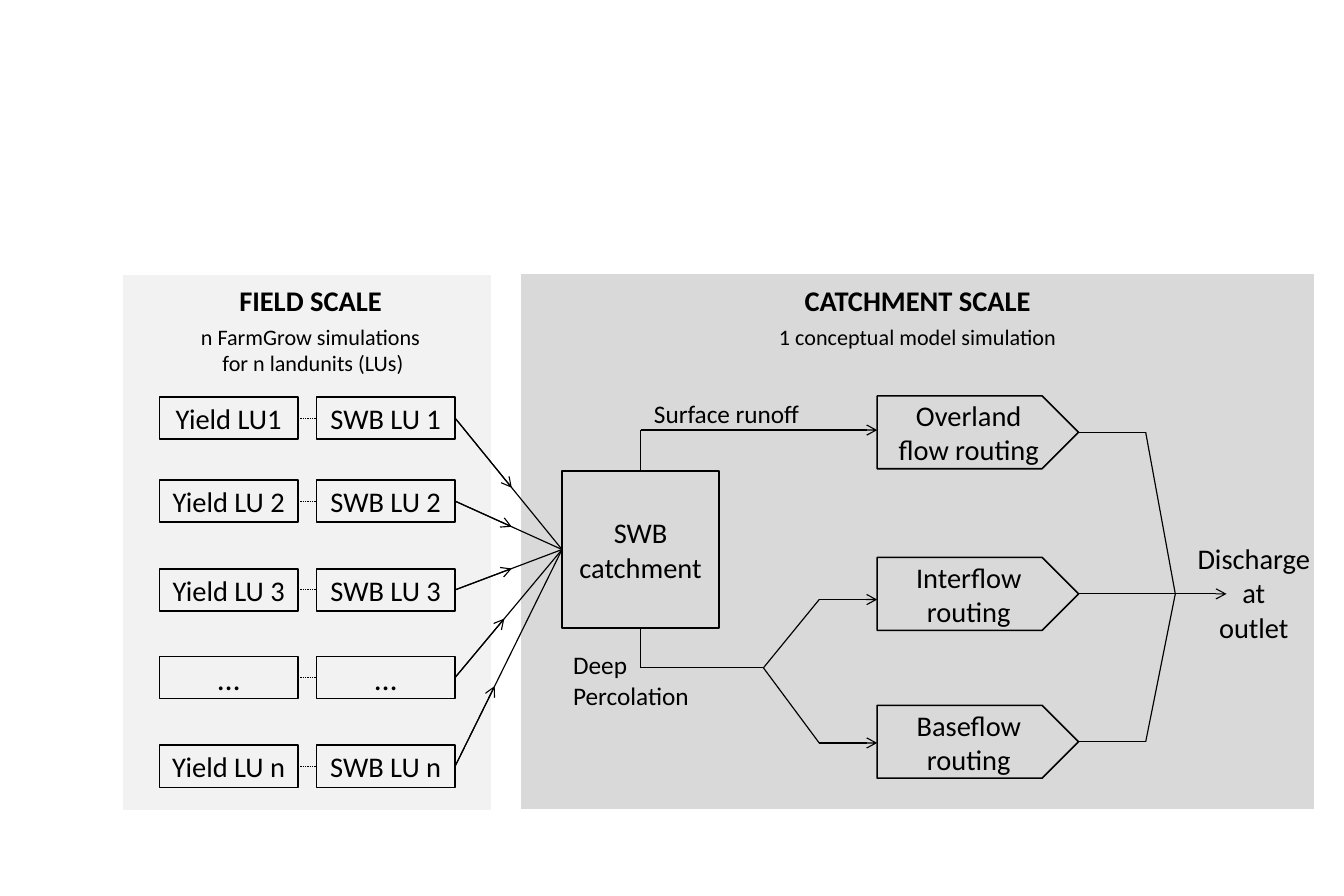
import dataclasses
import itertools
import typing

import lxml.etree
import pptx
import pptx.dml.color
import pptx.enum.dml
import pptx.enum.shapes
import pptx.enum.text
import pptx.oxml.ns
import pptx.shapes.autoshape
import pptx.slide
import pptx.text.text
import pptx.util

# Places are columns and rows of a square grid.
CELL = pptx.util.Inches(0.1)
WIDE, HIGH = pptx.util.Pt(850.5), pptx.util.Pt(567)
FONT = "Calibri"
HUES = {"ink": "000000", "field": "F2F2F2", "catch": "D9D9D9"}

FORM = pptx.enum.shapes.MSO_SHAPE
ALIGN = pptx.enum.text.PP_ALIGN
ANCHOR = pptx.enum.text.MSO_ANCHOR


class Point(typing.NamedTuple):
    """A place on the grid."""
    col: float
    row: float


@dataclasses.dataclass
class Box:
    """A shape on the grid, with its text lines."""
    col: float
    row: float
    wide: float
    high: float
    lines: tuple[str, ...] = ()
    size: int = 18
    form: FORM = FORM.FLOWCHART_PROCESS
    fill: str = ""

    @property
    def mid(self) -> float:
        """Return the row of the box's centre."""
        return self.row + self.high / 2

    @property
    def right(self) -> float:
        """Return the column of the right edge."""
        return self.col + self.wide


@dataclasses.dataclass
class Label:
    """A free text on the grid."""
    col: float
    row: float
    wide: float
    high: float
    lines: tuple[str, ...]
    size: int
    bold: bool = False
    align: ALIGN = ALIGN.CENTER


@dataclasses.dataclass
class Route:
    """A chain of straight lines, with an arrow at its end if wanted."""
    points: list[Point]
    arrow: bool = False
    dots: bool = False


def span(cells: float) -> pptx.util.Emu:
    """Turn grid cells into a length."""
    return pptx.util.Emu(round(cells * CELL))


def hue(name: str) -> pptx.dml.color.RGBColor:
    """Look up a colour."""
    return pptx.dml.color.RGBColor.from_string(HUES[name])


def frame(item: Box | Label) -> tuple[pptx.util.Emu, ...]:
    """Return left, top, width and height."""
    return tuple(map(span, (item.col, item.row, item.wide, item.high)))


def write(text: pptx.text.text.TextFrame, lines: tuple[str, ...], size: int,
          bold: bool = False, align: ALIGN = ALIGN.CENTER) -> None:
    """Write one paragraph for each line."""
    text.word_wrap = True
    for count, line in enumerate(lines):
        para = text.add_paragraph() if count else text.paragraphs[0]
        para.alignment = align
        run = para.add_run()
        run.text = line
        run.font.name = FONT
        run.font.size = pptx.util.Pt(size)
        run.font.bold = bold
        run.font.color.rgb = hue("ink")


def draw_box(slide: pptx.slide.Slide, box: Box) -> None:
    """Draw a filled panel or an outlined box."""
    shape = slide.shapes.add_shape(box.form, *frame(box))
    shape.shadow.inherit = False
    if box.fill:
        shape.fill.solid()
        shape.fill.fore_color.rgb = hue(box.fill)
        shape.line.fill.background()
    else:
        shape.fill.background()
        shape.line.color.rgb = hue("ink")
        shape.line.width = pptx.util.Pt(1)
    shape.text_frame.vertical_anchor = ANCHOR.MIDDLE
    write(shape.text_frame, box.lines, box.size)


def draw_label(slide: pptx.slide.Slide, label: Label) -> None:
    """Draw a text without outline."""
    shape = slide.shapes.add_textbox(*frame(label))
    write(shape.text_frame, label.lines, label.size, label.bold, label.align)


def draw_route(slide: pptx.slide.Slide, route: Route) -> None:
    """Draw each leg of a route."""
    for start, end in itertools.pairwise(route.points):
        leg = slide.shapes.add_connector(
            pptx.enum.shapes.MSO_CONNECTOR.STRAIGHT,
            *map(span, (*start, *end)))
        leg.line.color.rgb = hue("ink")
        leg.line.width = pptx.util.Pt(0.75)
        if route.dots:
            leg.line.dash_style = pptx.enum.dml.MSO_LINE.ROUND_DOT
        props = leg.element.spPr
        if route.arrow and end == route.points[-1]:
            lxml.etree.SubElement(props.find(pptx.oxml.ns.qn("a:ln")),
                                  pptx.oxml.ns.qn("a:tailEnd"), type="arrow")
        lxml.etree.SubElement(props, pptx.oxml.ns.qn("a:effectLst"))


def part(start: Point, end: Point, share: float) -> Point:
    """Return the point at a share of the way."""
    return Point(start.col + share * (end.col - start.col),
                 start.row + share * (end.row - start.row))


panels = [Box(45.8, 24.1, 69.7, 47, fill="catch"),
          Box(10.8, 24.2, 32.4, 47, fill="field")]
swb = Box(49.4, 41.4, 13.8, 13.8, ("SWB", "catchment"))
over, inter, base = plates = [
    Box(77.1, row, 17.7, 6.4, (name,), form=FORM.PENTAGON)
    for row, name in ((34.8, "Overland flow routing"),
                      (49, "Interflow routing"), (62, "Baseflow routing"))]
boxes = [*panels, swb, *plates]

labels = [
    Label(11.1, 24.4, 32.4, 4, ("FIELD SCALE",), 18, True),
    Label(45.8, 24.4, 69.7, 4, ("CATCHMENT SCALE",), 18, True),
    Label(11.1, 27.9, 32.4, 5.7,
          ("n FarmGrow simulations", " for n landunits (LUs)"), 14),
    Label(45.8, 27.9, 69.7, 3.4, ("1 conceptual model simulation",), 14),
    Label(103.3, 47.1, 13.8, 10.4, ("Discharge", " at ", "outlet"), 18),
    Label(49.4, 56.6, 15.6, 6.4, ("Deep Percolation",), 16, align=ALIGN.LEFT),
    Label(56.5, 34.5, 15.6, 3.7, ("Surface runoff",), 16, align=ALIGN.LEFT),
]

# Each land unit: top row, yield text, water balance text, size, arrow share.
units = [(34.9, "Yield LU1", "SWB LU 1", 18, 0.53),
         (42.2, "Yield LU 2", "SWB LU 2", 18, 0.53),
         (50, "Yield LU 3", "SWB LU 3", 18, 0.53),
         (57.7, "…", "…", 20, 0.46),
         (65.5, "Yield LU n", "SWB LU n", 18, 0.37)]
routes = []
inlet = Point(swb.col, swb.mid)
for row, crop, water, size, share in units:
    left = Box(14, row, 12.2, 3.7, (crop,), size)
    right = Box(27.8, row, 12.2, 3.7, (water,), size)
    boxes += [left, right]
    start = Point(right.right, right.mid)
    routes += [Route([Point(left.right, left.mid),
                      Point(right.col, right.mid)], dots=True),
               Route([start, inlet]),
               Route([start, part(start, inlet, share)], arrow=True)]

axis = swb.col + swb.wide / 2
fork = Point(67.1, 58.7)
routes += [
    Route([Point(axis, swb.row), Point(axis, 37.8), Point(over.col, 37.8)],
          arrow=True),
    Route([Point(axis, swb.row + swb.high), Point(axis, fork.row), fork]),
    *(Route([fork, Point(72, row), Point(inter.col, row)], arrow=True)
      for row in (52.7, 65.3)),
    Route([Point(inter.right, inter.mid), Point(107.8, inter.mid)],
          arrow=True),
    *(Route([Point(plate.right, plate.mid), Point(100.7, plate.mid),
             Point(103.3, inter.mid)]) for plate in (over, base)),
]

deck = pptx.Presentation()
deck.slide_width, deck.slide_height = WIDE, HIGH
deck.element.find(pptx.oxml.ns.qn("p:sldSz")).attrib.pop("type", None)
page = deck.slides.add_slide(deck.slide_layouts[6])
for box in boxes:
    draw_box(page, box)
for route in routes:
    draw_route(page, route)
for label in labels:
    draw_label(page, label)
deck.save("out.pptx")
